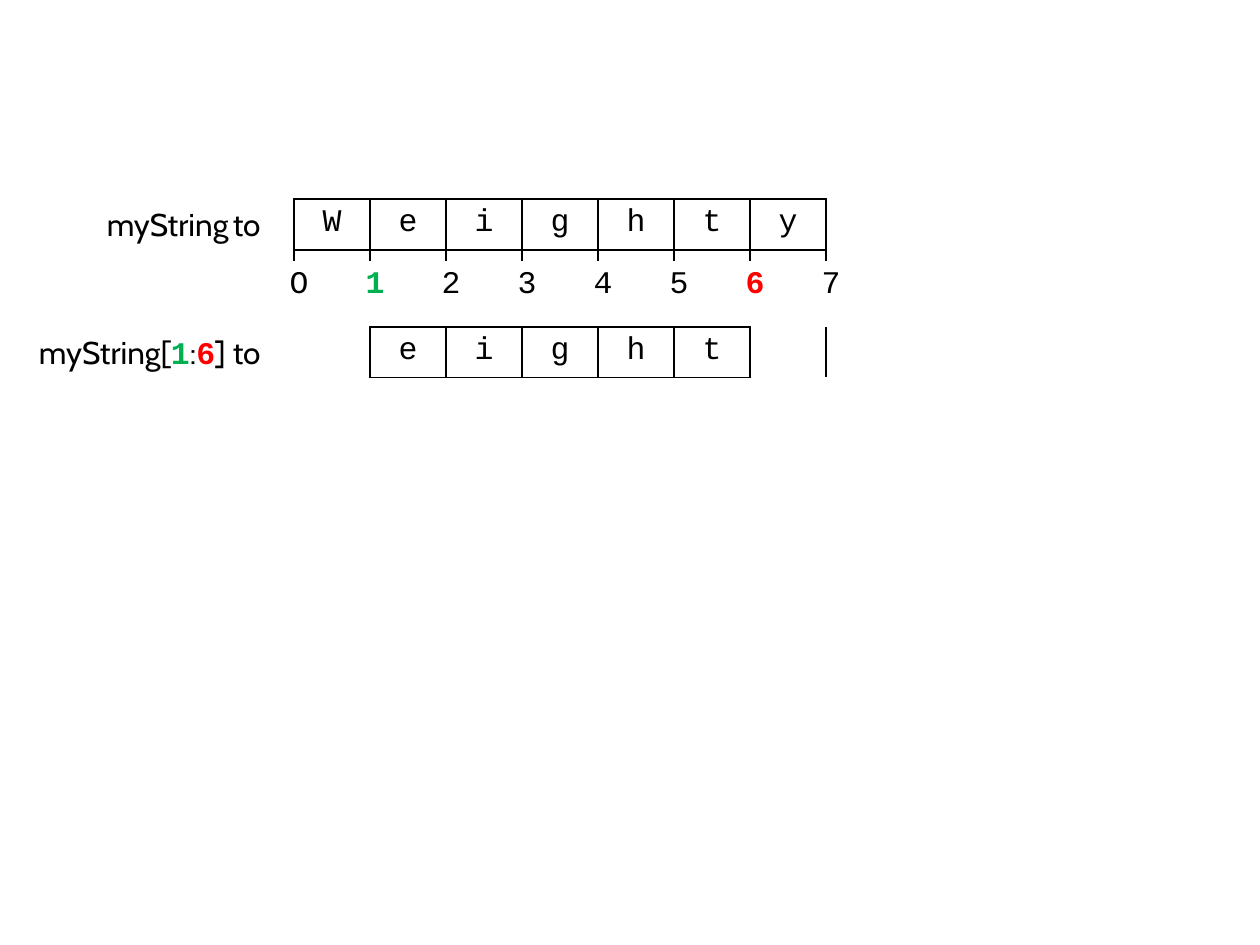
"""Slide showing how slice positions fall between the characters of a string."""
from lxml import etree
from pptx import Presentation, util as u
from pptx.dml.color import RGBColor
from pptx.enum import text
from pptx.oxml import parse_xml
from pptx.oxml.ns import nsdecls

BLACK = RGBColor(0, 0, 0)
WHITE = RGBColor(255, 255, 255)
START = RGBColor(0x00, 0xB0, 0x50)
STOP = RGBColor(255, 0, 0)
CODE, BODY = "Courier New", "Cabin"
SCALE = 914400 / 126
CELL_WIDTH = 76
NO_STYLE = "{2D5ABB26-0587-4C30-8999-92F81FD0307C}"


def add_run(paragraph, words, font, color=BLACK):
    run = paragraph.add_run()
    run.text = words
    run.font.name = font
    run.font.size = u.Pt(18)
    run.font.bold = color != BLACK
    run.font.color.rgb = color


def add_strip(left, top, height, rows, row_height, boxed, colors, fill=None):
    frame = slide.shapes.add_table(
        len(rows), 8, round(left * SCALE), round(top * SCALE),
        round(8 * CELL_WIDTH * SCALE), round(height * SCALE))
    strip = frame.table
    strip.first_row = strip.horz_banding = False
    strip._tbl.tblPr.find("{*}tableStyleId").text = NO_STYLE
    for column in strip.columns:
        column.width = round(CELL_WIDTH * SCALE)
    for row, letters in enumerate(rows):
        strip.rows[row].height = round(row_height * SCALE)
        for col, letter in enumerate(letters):
            cell = strip.cell(row, col)
            if fill:
                cell.fill.solid()
                cell.fill.fore_color.rgb = fill
            else:
                cell.fill.background()
            if letter != " ":
                paragraph = cell.text_frame.paragraphs[0]
                paragraph.alignment = text.PP_ALIGN.CENTER
                add_run(paragraph, letter, CODE, colors.get(letter, BLACK))
            sides = "LRTB" if col in boxed else ""
            sides += "R" if col + 1 in boxed and col not in boxed else ""
            sides += "L" if col - 1 in boxed and col not in boxed else ""
            for place, side in enumerate(sides):
                border = parse_xml(
                    f'<a:ln{side} {nsdecls("a")} w="12700"><a:solidFill>'
                    f'<a:srgbClr val="{BLACK}"/></a:solidFill></a:ln{side}>')
                cell._tc.get_or_add_tcPr().insert(place, border)
    frame.height = round(height * SCALE)


deck = Presentation()
deck.slide_width, deck.slide_height = u.Inches(10), u.Inches(7.5)
slide = deck.slides.add_slide(deck.slide_layouts[6])

add_strip(294, 199, 101, ["Weighty ", " " * 8], 37, range(7), {})
add_strip(261, 261, 59, ["O1234567"], 59, (), {"1": START, "6": STOP}, WHITE)

labels = [
    (21, 199, 252, [("myString\tto", BODY, BLACK)]),
    (0, 327, 273, [("myString[", BODY, BLACK), ("1", CODE, START),
                   (":", BODY, BLACK), ("6", CODE, STOP),
                   ("] to", BODY, BLACK)]),
]
for left, top, width, runs in labels:
    label = slide.shapes.add_textbox(*(
        round(length * SCALE) for length in (left, top, width, 51))).text_frame
    label.word_wrap = True
    label.auto_size = text.MSO_AUTO_SIZE.SHAPE_TO_FIT_TEXT
    label.paragraphs[0].alignment = text.PP_ALIGN.RIGHT
    for words, font, color in runs:
        add_run(label.paragraphs[0], words, font, color)

add_strip(294, 327, 51, [" eight  "], 37, range(1, 6), {})

deck.save("out.pptx")
